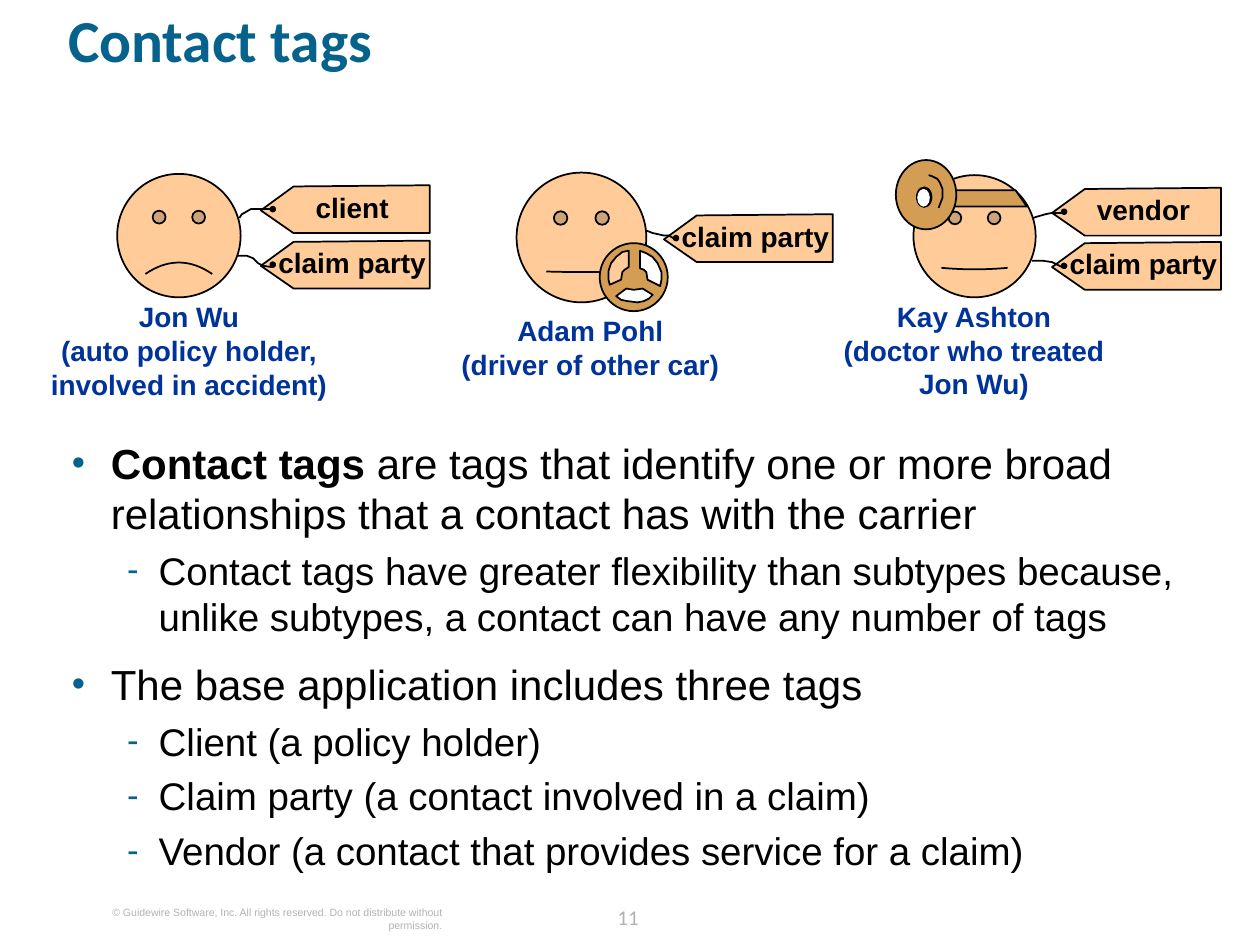
from lxml import etree
from pptx import Presentation
from pptx.dml.color import RGBColor
from pptx.enum.shapes import MSO_SHAPE
from pptx.enum.text import PP_ALIGN
from pptx.oxml.ns import qn
from pptx.util import Inches, Pt

LEFT, CENTER, RIGHT = PP_ALIGN.LEFT, PP_ALIGN.CENTER, PP_ALIGN.RIGHT
OVAL, SMILEY = MSO_SHAPE.OVAL, MSO_SHAPE.SMILEY_FACE

BLACK = RGBColor(0x00, 0x00, 0x00)
WHITE = RGBColor(0xFF, 0xFF, 0xFF)
TEAL = RGBColor(0x04, 0x62, 0x8C)
NAVY = RGBColor(0x00, 0x33, 0x99)
GRAY = RGBColor(0xB2, 0xB2, 0xB2)
PEACH = RGBColor(0xFF, 0xCC, 0x99)
BRONZE = RGBColor(0xD3, 0x9E, 0x54)

COLUMNS, ROWS = 100, 75
TAG_OUTLINE = [(2.6, 0.1), (13.4, 0), (13.4, 3.8), (2.6, 3.8), (0, 2)]
KNOT = (0.85, 1.8)

TAGS = [
    ("client", 20.7, 14.7,
     [(21.8, 16.6), (19.9, 16.6), (19.4, 16.9), (19.2, 17), (19, 17.3)]),
    ("claim party", 20.7, 19.1,
     [(21.6, 21.2), (20.9, 21.1), (20.5, 20.9), (20.1, 20.5), (19.6, 20.3), (18.9, 20.3)]),
    ("claim party", 52.7, 17,
     [(53.6, 19), (53.1, 18.7), (52.7, 18.7), (51.8, 18.5), (51.3, 18.3)]),
    ("vendor", 83.5, 14.9,
     [(84.4, 16.9), (83.5, 16.9), (83, 17), (82.3, 17.2), (82, 17.3)]),
    ("claim party", 83.5, 19.2,
     [(84.3, 21.2), (83.5, 20.8), (82.8, 20.7), (81.9, 20.7)]),
]
CAPTIONS = [
    (1.9, 23.8, 26.2, ["Jon Wu", "(auto policy holder,", "involved in accident)"]),
    (32.7, 24.9, 28.3, ["Adam Pohl", "(driver of other car)"]),
    (66.5, 23.8, 21.6, ["Kay Ashton", "(doctor who treated Jon Wu)"]),
]
BODY = [
    (0, [("Contact tags ", True),
         ("are tags that identify one or more broad relationships "
          "that a contact has with the carrier", False)]),
    (1, [("Contact tags have greater flexibility than subtypes because, "
          "unlike subtypes, a contact can have any number of tags", False)]),
    (0, [("The base application includes three tags", False)]),
    (1, [("Client (a policy holder)", False)]),
    (1, [("Claim party (a contact involved in a claim)", False)]),
    (1, [("Vendor (a contact that provides service for a claim)", False)]),
]
BODY_LEVELS = [("•", 24, 0.31, -0.31, 11), ("-", 22, 0.69, -0.25, 5)]
WHEEL_WINDOWS = [
    (WHITE, [(50.8, 21.3), (50.8, 19.9), (51.3, 20.1), (51.8, 20.4), (52.2, 20.9),
             (52.5, 21.6), (52.5, 22.2), (52.4, 22.7), (51.4, 22.2), (51.3, 21.6),
             (51.1, 21.4)]),
    (PEACH, [(49.9, 21.2), (49.9, 19.9), (49.4, 20), (48.9, 20.4), (48.5, 20.9),
             (48.3, 21.5), (48.3, 22.2), (48.4, 22.6), (49.3, 22.2), (49.4, 21.6),
             (49.6, 21.4)]),
    (WHITE, [(51, 22.9), (51.8, 23.4), (51.5, 23.7), (51.1, 23.9), (50.6, 24),
             (49.8, 23.9), (49.3, 23.8), (48.9, 23.5), (49.7, 22.9), (50.3, 23)]),
]


class TagSlide:
    def __init__(self, presentation):
        self.slide = presentation.slides.add_slide(presentation.slide_layouts[6])
        self.shapes = self.slide.shapes
        self.column = presentation.slide_width / COLUMNS
        self.row = presentation.slide_height / ROWS

    def place(self, *lengths):
        units = (self.column, self.row) * 2
        return [round(length * unit) for length, unit in zip(lengths, units)]

    def paint(self, shape, fill, line_width=1):
        shape.shadow.inherit = False
        if fill is None:
            shape.fill.background()
        else:
            shape.fill.solid()
            shape.fill.fore_color.rgb = fill
        if line_width:
            shape.line.color.rgb = BLACK
            shape.line.width = Pt(line_width)
        else:
            shape.line.fill.background()

    def preset(self, kind, box, fill, line_width=1):
        shape = self.shapes.add_shape(kind, *self.place(*box))
        self.paint(shape, fill, line_width)
        return shape

    def face(self, left, top, size, smile):
        self.preset(SMILEY, (left, top, size, size), PEACH).adjustments[0] = smile

    def outline(self, points, fill=None):
        start, *others = [self.place(*point) for point in points]
        builder = self.shapes.build_freeform(*start)
        builder.add_line_segments(others, close=fill is not None)
        self.paint(builder.convert_to_shape(), fill)

    def frame(self, box, inset=True):
        frame = self.shapes.add_textbox(*self.place(*box)).text_frame
        frame.word_wrap = True
        if not inset:
            frame.margin_left = frame.margin_right = 0
            frame.margin_top = frame.margin_bottom = 0
        return frame

    def run(self, paragraph, text, size, color, bold=False, font="Arial"):
        run = paragraph.add_run()
        run.text = text
        run.font.name = font
        run.font.size = Pt(size)
        run.font.bold = bold
        run.font.color.rgb = color

    def text(self, box, lines, size, color, align=CENTER, bold=False,
             font="Arial", inset=False, spacing=None):
        paragraph = self.frame(box, inset).paragraphs[0]
        paragraph.alignment = align
        paragraph.line_spacing = spacing
        for index, line in enumerate(lines):
            if index:
                paragraph.add_line_break()
            self.run(paragraph, line, size, color, bold, font)

    def tag(self, label, left, top, string):
        self.outline([(left + x, top + y) for x, y in TAG_OUTLINE], PEACH)
        self.text((left - 0.15, top - 0.1, 14.8, 3.7), [label], 16, BLACK,
                  bold=True, inset=True)
        self.outline(string)
        self.preset(OVAL, (left + KNOT[0], top + KNOT[1], 0.2, 0.2), BLACK, 2.25)

    def bullet(self, paragraph, symbol, margin, indent):
        properties = paragraph._p.get_or_add_pPr()
        properties.set("marL", str(Inches(margin)))
        properties.set("indent", str(Inches(indent)))
        color = etree.SubElement(properties, qn("a:buClr"))
        etree.SubElement(color, qn("a:srgbClr"), val=str(TEAL))
        etree.SubElement(properties, qn("a:buSzPct"), val="90000")
        etree.SubElement(properties, qn("a:buFont"), typeface="Arial")
        etree.SubElement(properties, qn("a:buChar"), char=symbol)

    def bullets(self, box, items):
        frame = self.frame(box, inset=False)
        for index, (level, runs) in enumerate(items):
            paragraph = frame.add_paragraph() if index else frame.paragraphs[0]
            symbol, size, margin, indent, gap = BODY_LEVELS[level]
            paragraph.level = level
            self.bullet(paragraph, symbol, margin, indent)
            if index:
                paragraph.space_before = Pt(gap)
            for text, bold in runs:
                self.run(paragraph, text, size, BLACK, bold)

    def steering_wheel(self):
        self.preset(OVAL, (47.6, 19.3, 5.4, 5.4), BRONZE)
        for fill, points in WHEEL_WINDOWS:
            self.outline(points, fill)

    def head_mirror(self):
        self.outline([(75.2, 15.1), (80.6, 15.1), (81.5, 16.4), (74.9, 16.4)], BRONZE)
        self.preset(OVAL, (71.1, 12.7, 4.8, 5.5), BRONZE)
        self.preset(OVAL, (72.7, 14.8, 1.3, 1.7), BLACK, 0)
        self.preset(OVAL, (72.8, 15, 1, 1.4), WHITE, 0)
        self.outline([(74.5, 16.5), (74.8, 15.7), (74.8, 15), (74.6, 14.5),
                      (74.4, 14.2), (74, 14), (73.7, 13.9)])


def main():
    presentation = Presentation()
    presentation.slide_width, presentation.slide_height = Inches(10), Inches(7.5)
    page = TagSlide(presentation)
    page.text((5.4, 1.3, 91, 8.1), ["Contact tags"], 34, TEAL, LEFT, True,
              "Calibri", spacing=0.8)
    page.bullets((5.7, 34.7, 91, 35.2), BODY)
    page.face(9.3, 13.8, 9.8, -0.047)
    page.face(41, 13.7, 10.3, 0.002)
    page.steering_wheel()
    page.face(72.5, 13.9, 9.7, 0.006)
    page.head_mirror()
    for left, top, width, lines in CAPTIONS:
        page.text((left, top, width, 2.7 * len(lines)), lines, 16, NAVY, bold=True)
    for tag in TAGS:
        page.tag(*tag)
    page.text((6.1, 71.9, 29, 2), ["© Guidewire Software, Inc. All rights reserved. "
              "Do not distribute without permission."], 6, GRAY, RIGHT)
    page.text((47, 71.3, 5.7, 2.5), ["11"], 12, GRAY, font="Calibri", spacing=Pt(18))
    presentation.save("out.pptx")


if __name__ == "__main__":
    main()
